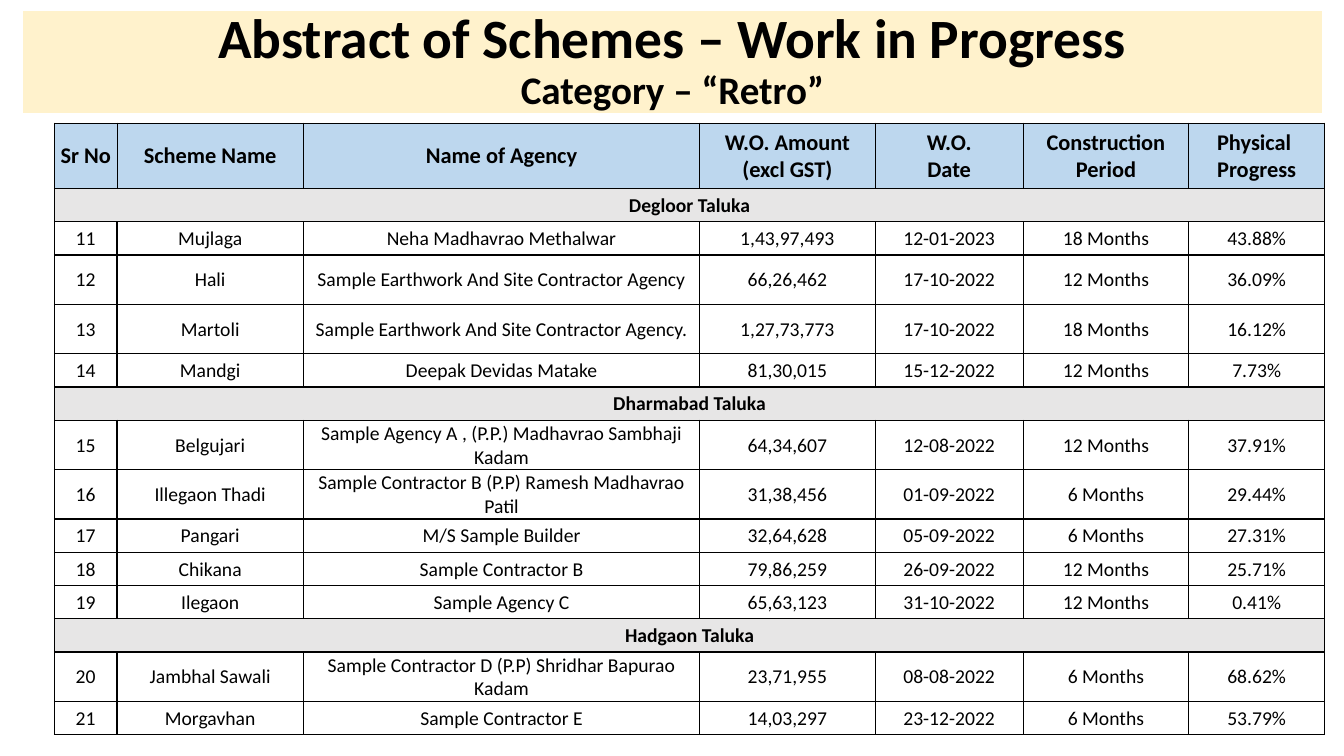
import pptx
import pptx.util
import pptx.dml.color
import pptx.enum.text
import pptx.oxml
import pptx.oxml.ns
import lxml.etree

TITLE_LINES = [("Abstract of Schemes – Work in Progress", 39.6), ("Category – “Retro”", 27.9)]
HEADINGS = [
    "Sr No", "Scheme Name", "Name of Agency", "W.O. Amount\n(excl GST)",
    "W.O.\nDate", "Construction\nPeriod", "Physical \nProgress",
]
TALUKAS = {
    "Degloor Taluka": [
        ("Mujlaga", "Neha Madhavrao Methalwar", "1,43,97,493", "12-01-2023", "18 Months", "43.88%"),
        ("Hali", "Sample Earthwork And Site Contractor Agency", "66,26,462", "17-10-2022", "12 Months", "36.09%"),
        ("Martoli", "Sample Earthwork And Site Contractor Agency.", "1,27,73,773", "17-10-2022", "18 Months", "16.12%"),
        ("Mandgi", "Deepak Devidas Matake", "81,30,015", "15-12-2022", "12 Months", "7.73%"),
    ],
    "Dharmabad Taluka": [
        ("Belgujari", "Sample Agency A , (P.P.) Madhavrao Sambhaji Kadam", "64,34,607", "12-08-2022", "12 Months", "37.91%"),
        ("Illegaon Thadi", "Sample Contractor B (P.P) Ramesh Madhavrao Patil", "31,38,456", "01-09-2022", "6 Months", "29.44%"),
        ("Pangari", "M/S Sample Builder", "32,64,628", "05-09-2022", "6 Months", "27.31%"),
        ("Chikana", "Sample Contractor B", "79,86,259", "26-09-2022", "12 Months", "25.71%"),
        ("Ilegaon", "Sample Agency C", "65,63,123", "31-10-2022", "12 Months", "0.41%"),
    ],
    "Hadgaon Taluka": [
        ("Jambhal Sawali", "Sample Contractor D (P.P) Shridhar Bapurao Kadam", "23,71,955", "08-08-2022", "6 Months", "68.62%"),
        ("Morgavhan", "Sample Contractor E", "14,03,297", "23-12-2022", "6 Months", "53.79%"),
    ],
}
FIRST_NUMBER = 11
COLUMN_WIDTHS = [0.62, 1.85, 3.93, 1.74, 1.47, 1.64, 1.35]
TABLE_LEFT, HEADER_TOP, HEADER_HEIGHT = 0.54, 1.22, 0.65
SINGLE_HEIGHT, DOUBLE_HEIGHT, LONG_NAME = 0.33, 0.49, 40
FONT = "Calibri"
BLACK, WHITE, CREAM, BLUE, GRAY = "000000", "FFFFFF", "FFF2CC", "BDD7EE", "E7E6E6"

Inches = pptx.util.Inches
CENTER = pptx.enum.text.PP_ALIGN.CENTER
MIDDLE = pptx.enum.text.MSO_ANCHOR.MIDDLE
qn = pptx.oxml.ns.qn


def paint(color_format, color):
    color_format.rgb = pptx.dml.color.RGBColor.from_string(color)


def add_run(paragraph, text, size, bold):
    run = paragraph.add_run()
    run.text = text
    run.font.name = FONT
    run.font.size = pptx.util.Pt(size)
    run.font.bold = bold
    paint(run.font.color, BLACK)


def set_borders(cell, width):
    properties = cell._tc.get_or_add_tcPr()
    for position, side in enumerate(("lnL", "lnR", "lnT", "lnB")):
        line = lxml.etree.Element(qn("a:" + side), w=str(pptx.util.Pt(width)))
        fill = lxml.etree.SubElement(line, qn("a:solidFill"))
        lxml.etree.SubElement(fill, qn("a:srgbClr"), val=BLACK)
        properties.insert(position, line)


def fill_cell(cell, text, size, bold, color, border):
    cell.vertical_anchor = MIDDLE
    cell.margin_left = cell.margin_right = cell.margin_top = Inches(0.01)
    cell.margin_bottom = 0
    cell.fill.solid()
    paint(cell.fill.fore_color, color)
    set_borders(cell, border)
    paragraph = cell.text_frame.paragraphs[0]
    paragraph.alignment = CENTER
    for index, line in enumerate(text.split("\n")):
        if index:
            paragraph.add_line_break()
        add_run(paragraph, line, size, bold)


def add_grid(slide, top, heights):
    frame = slide.shapes.add_table(
        len(heights), len(COLUMN_WIDTHS), Inches(TABLE_LEFT), Inches(top),
        Inches(sum(COLUMN_WIDTHS)), Inches(sum(heights)))
    table = frame.table
    table.first_row = table.horz_banding = False
    for column, width in zip(table.columns, COLUMN_WIDTHS):
        column.width = Inches(width)
    for row, height in zip(table.rows, heights):
        row.height = Inches(height)
    return table


def add_title(slide):
    title = slide.shapes.title
    title.left, title.top = Inches(0.23), Inches(0.11)
    title.width, title.height = Inches(12.88), Inches(1.01)
    title.fill.solid()
    paint(title.fill.fore_color, CREAM)
    title.text_frame.vertical_anchor = MIDDLE
    title.text_frame.word_wrap = True
    paragraph = title.text_frame.paragraphs[0]
    paragraph.alignment = CENTER
    paragraph.line_spacing = 0.9
    for index, (text, size) in enumerate(TITLE_LINES):
        if index:
            paragraph.add_line_break()
        add_run(paragraph, text, size, True)


def add_header(slide):
    table = add_grid(slide, HEADER_TOP, [HEADER_HEIGHT])
    for column, heading in enumerate(HEADINGS):
        fill_cell(table.cell(0, column), heading, 16, True, BLUE, 0.5)


def add_schemes(slide):
    rows = []
    number = FIRST_NUMBER
    for taluka, schemes in TALUKAS.items():
        rows.append((taluka,))
        for scheme in schemes:
            rows.append((str(number), *scheme))
            number += 1
    heights = [DOUBLE_HEIGHT if len(row) > 1 and len(row[2]) > LONG_NAME else SINGLE_HEIGHT
               for row in rows]
    table = add_grid(slide, HEADER_TOP + HEADER_HEIGHT, heights)
    last = len(COLUMN_WIDTHS) - 1
    for index, row in enumerate(rows):
        is_taluka = len(row) == 1
        if is_taluka:
            table.cell(index, 0).merge(table.cell(index, last))
            for column in range(1, last + 1):
                set_borders(table.cell(index, column), 1)
        for column, text in enumerate(row):
            fill_cell(table.cell(index, column), text, 14, is_taluka,
                      GRAY if is_taluka else WHITE, 1)


def main():
    presentation = pptx.Presentation()
    presentation.slide_width = Inches(13.33)
    presentation.slide_height = Inches(7.5)
    slide = presentation.slides.add_slide(presentation.slide_layouts[5])
    add_title(slide)
    add_header(slide)
    add_schemes(slide)
    presentation.save("out.pptx")


if __name__ == "__main__":
    main()
